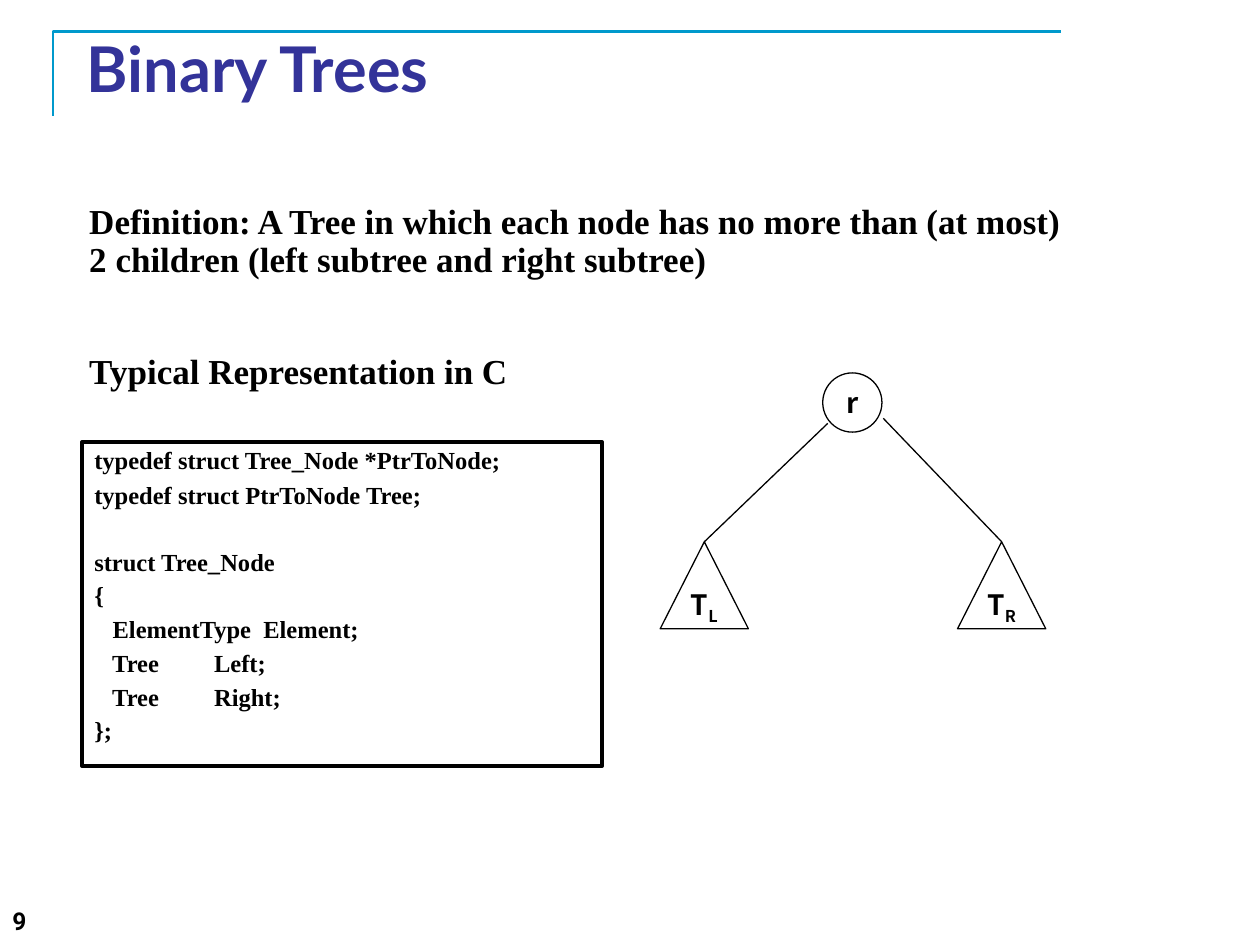
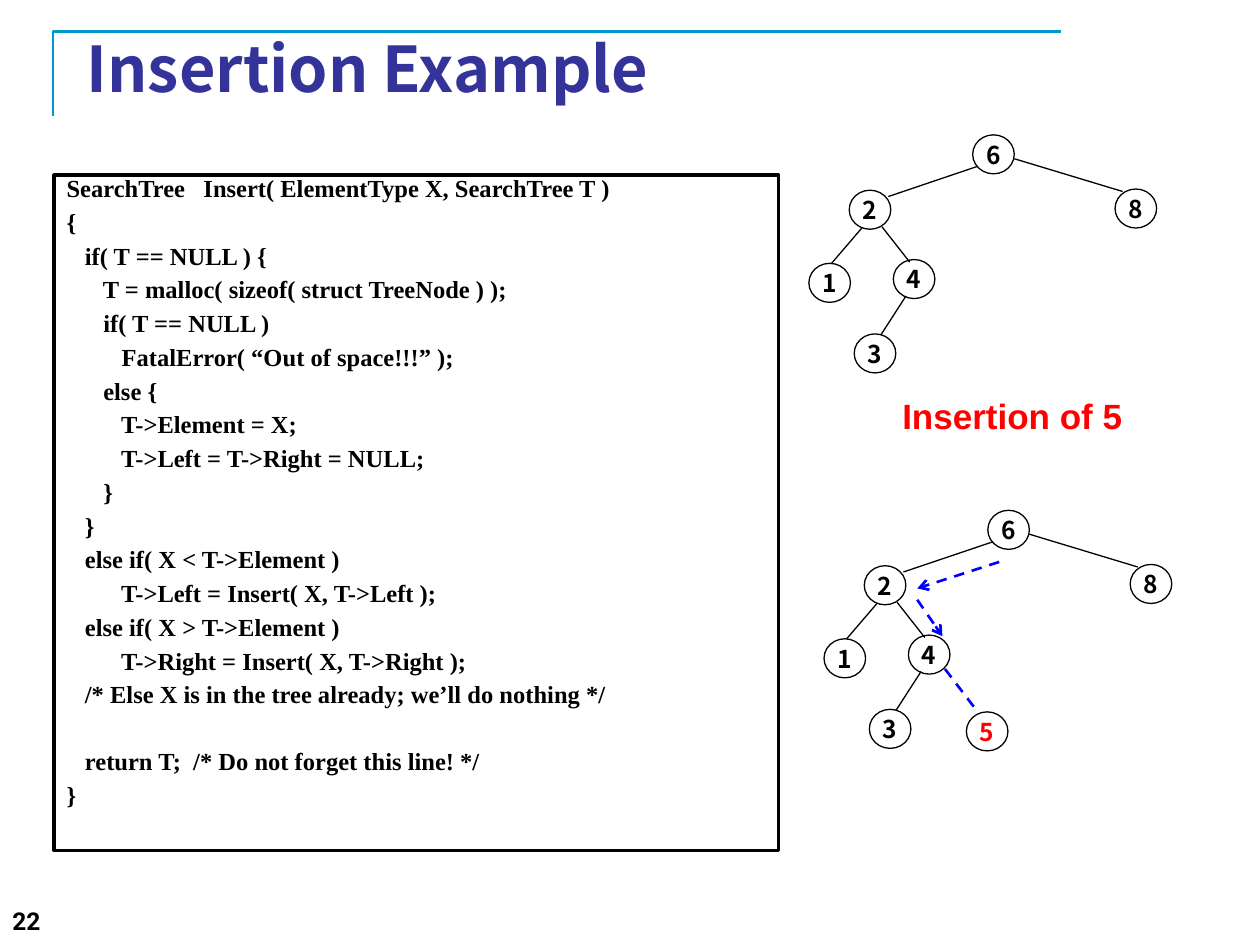
from pptx import Presentation
from pptx import util as u
from pptx.dml.color import RGBColor
from pptx.enum import dml, shapes, text
from pptx.oxml.ns import qn
from lxml import etree

PX = 9144
BLACK = RGBColor(0x00, 0x00, 0x00)
WHITE = RGBColor(0xFF, 0xFF, 0xFF)
NAVY = RGBColor(0x33, 0x33, 0x99)
CYAN = RGBColor(0x00, 0x99, 0xCC)
BLUE = RGBColor(0x00, 0x00, 0xFF)
RED = RGBColor(0xFF, 0x00, 0x00)
SERIF = "Times New Roman"
SANS = "Noto Sans CJK KR"
LEFT = text.PP_ALIGN.LEFT
MID = text.PP_ALIGN.CENTER
OVAL = shapes.MSO_SHAPE.OVAL
CONE = shapes.MSO_SHAPE.ISOSCELES_TRIANGLE

STRUCT = """typedef struct Tree_Node *PtrToNode;
typedef struct PtrToNode Tree;

struct Tree_Node
{
   ElementType  Element;
   Tree         Left;
   Tree         Right;
};"""

INSERT = """SearchTree   Insert( ElementType X, SearchTree T )
{
   if( T == NULL ) {
      T = malloc( sizeof( struct TreeNode ) );
      if( T == NULL )
         FatalError( “Out of space!!!” );
      else {
         T->Element = X;
         T->Left = T->Right = NULL;
      }
   }
   else if( X < T->Element )
         T->Left = Insert( X, T->Left );
   else if( X > T->Element )
         T->Right = Insert( X, T->Right );
   /* Else X is in the tree already; we’ll do nothing */

   return T;  /* Do not forget this line! */
}"""

NODES = [("6", 772, 107), ("2", 674, 151), ("8", 885, 150),
         ("1", 642, 209), ("4", 709, 206), ("3", 678, 265)]
EDGES = [(776, 132, 705, 156), (805, 126, 891, 152), (684, 181, 660, 209),
         (700, 180, 722, 208), (719, 235, 699, 266)]


class Deck:
    def __init__(self):
        self.prs = Presentation()
        self.prs.slide_width = 1000 * PX
        self.prs.slide_height = 750 * PX
        self.page = None

    def slide(self, title, face, number):
        self.page = self.prs.slides.add_slide(self.prs.slide_layouts[6])
        rule = self.page.shapes.build_freeform(42, 92, PX)
        rule.add_line_segments([(42, 25), (842, 25)], close=False)
        self.paint(rule.convert_to_shape(), CYAN, 1.5)
        self.label(title, 59, 30, 850, 47, face, 36, NAVY, mid=True)
        self.label(number, 0, 714, 312, 36, "Roboto", 14)

    def paint(self, shape, color, width, fill=None):
        shape.shadow.inherit = False
        shape.line.color.rgb = color
        shape.line.width = u.Pt(width)
        if fill is None:
            shape.fill.background()
        else:
            shape.fill.solid()
            shape.fill.fore_color.rgb = fill

    def style(self, para, face, size, color=BLACK, align=LEFT):
        para.alignment = align
        para.font.name = face
        para.font.size = u.Pt(size)
        para.font.bold = True
        para.font.color.rgb = color

    def label(self, words, x, y, w, h, face, size, color=BLACK,
              align=LEFT, mid=False, lead=None, gap=0):
        box = self.page.shapes.add_textbox(x * PX, y * PX, w * PX, h * PX)
        frame = box.text_frame
        frame.word_wrap = True
        if mid:
            frame.vertical_anchor = text.MSO_ANCHOR.MIDDLE
        self.fill(frame, words.split("\n"), face, size, color, align, lead, gap)

    def fill(self, frame, lines, face, size, color=BLACK, align=LEFT,
             lead=None, gap=0):
        for i, line in enumerate(lines):
            para = frame.add_paragraph() if i else frame.paragraphs[0]
            para.text = line
            if lead:
                para.line_spacing = lead
            if i:
                para.space_before = u.Pt(gap)
            self.style(para, face, size, color, align)

    def code(self, source, x, y, w, h, first=0.7):
        box = self.page.shapes.add_shape(shapes.MSO_SHAPE.RECTANGLE,
                                         x * PX, y * PX, w * PX, h * PX)
        self.paint(box, BLACK, 2, WHITE)
        frame = box.text_frame
        frame.word_wrap = True
        frame.vertical_anchor = text.MSO_ANCHOR.TOP
        lines = source.split("\n")
        self.fill(frame, [s for s in lines if s], SERIF, 14, lead=0.7, gap=7.5)
        frame.paragraphs[0].line_spacing = first
        if "" in lines:
            frame.paragraphs[lines.index("")].space_before = u.Pt(26.3)

    def node(self, name, x, y, w=33, h=31, size=14, color=BLACK, kind=OVAL, sub=""):
        shape = self.page.shapes.add_shape(kind, x * PX, y * PX, w * PX, h * PX)
        self.paint(shape, BLACK, 0.75)
        frame = shape.text_frame
        frame.word_wrap = False
        frame.vertical_anchor = text.MSO_ANCHOR.MIDDLE
        self.fill(frame, [name], SANS, size, color, MID)
        if sub:
            run = frame.paragraphs[0].add_run()
            run.text = sub
            run._r.get_or_add_rPr().set("baseline", "-25000")
        return shape

    def edge(self, x1, y1, x2, y2, color=BLACK, width=0.75, dash=False, arrow=False):
        link = self.page.shapes.add_connector(shapes.MSO_CONNECTOR.STRAIGHT,
                                              x1 * PX, y1 * PX, x2 * PX, y2 * PX)
        link.line.color.rgb = color
        link.line.width = u.Pt(width)
        if dash:
            link.line.dash_style = dml.MSO_LINE.DASH
        if arrow:
            tip = etree.SubElement(link.line._get_or_add_ln(), qn("a:tailEnd"))
            tip.set("type", "arrow")
        etree.SubElement(link._element.spPr, qn("a:effectLst"))
        return link

    def tree(self, dx=0, dy=0):
        for x1, y1, x2, y2 in EDGES:
            self.edge(x1 + dx, y1 + dy, x2 + dx, y2 + dy)
        for name, x, y in NODES:
            self.node(name, x + dx, y + dy)


def binary(deck):
    deck.slide("Binary Trees", "Lato", "9")
    deck.label("Definition: A Tree in which each node has no more than (at most)\v"
               "2 children (left subtree and right subtree)\n"
               "Typical Representation in C",
               61, 157, 872, 165, SERIF, 20, lead=0.9, gap=42.7)
    deck.node("r", 653, 296, 47, 47, 16)
    for sub, x, start in (("L", 524, (657, 336)), ("R", 760, (701, 332))):
        cone = deck.node("T", x, 430, 70, 69, 16, kind=CONE, sub=sub)
        deck.edge(*start, x + 35, 430).end_connect(cone, 0)
    deck.code(STRUCT, 65, 351, 413, 257, first=0.9)


def insertion(deck):
    deck.slide("Insertion Example", SANS, "22")
    deck.code(INSERT, 43, 139, 575, 536)
    deck.tree()
    deck.label("Insertion of 5", 702, 312, 203, 40, "Arial", 20, RED, MID, lead=0.9)
    deck.tree(12, 298)
    deck.node("5", 767, 565, color=RED)
    for ends, arrow in (((793, 446, 728, 467), True),
                        ((728, 476, 748, 505), True),
                        ((750, 531, 776, 565), False)):
        deck.edge(*ends, BLUE, 1.5, dash=True, arrow=arrow)


def main():
    deck = Deck()
    binary(deck)
    insertion(deck)
    deck.prs.save("out.pptx")


if __name__ == "__main__":
    main()
